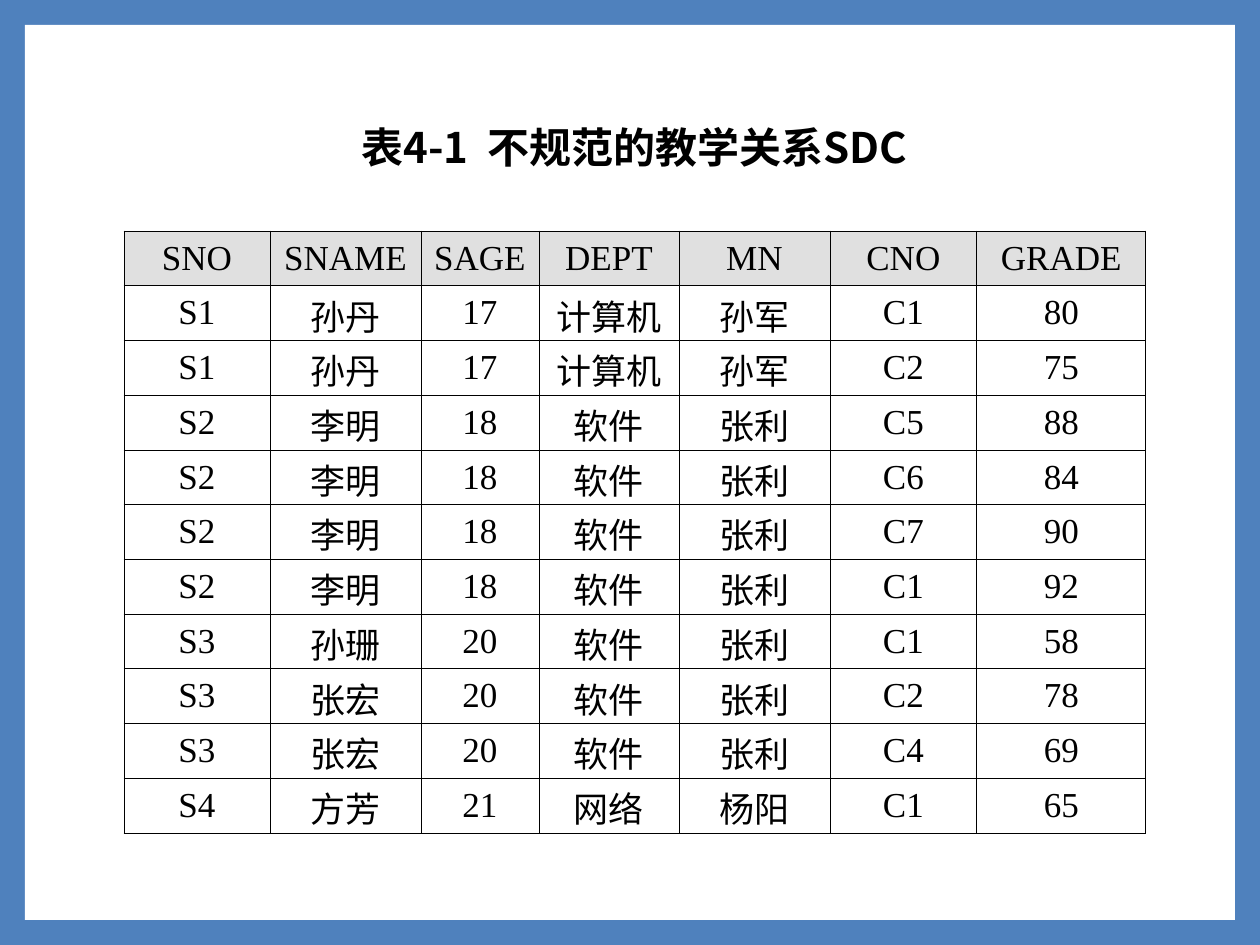
from lxml.etree import SubElement
from pptx import Presentation
from pptx.dml.color import RGBColor
from pptx.enum.shapes import MSO_SHAPE
from pptx.enum.text import MSO_ANCHOR, MSO_AUTO_SIZE, PP_ALIGN
from pptx.oxml.ns import qn
from pptx.util import Emu, Pt

PX_PER_INCH = 126
SANS = "Noto Sans CJK SC"
SERIF = "Times New Roman"
BLACK, WHITE = "000000", "FFFFFF"
BLUE, HEADER_GREY = "4F81BD", "E0E0E0"

COLUMN_WIDTHS = [146, 151, 118, 140, 151, 147, 169]
TABLE_HEIGHT = 602
HEADER = ["SNO", "SNAME", "SAGE", "DEPT", "MN", "CNO", "GRADE"]
RECORDS = [
    ["S1", "孙丹", "17", "计算机", "孙军", "C1", "80"],
    ["S1", "孙丹", "17", "计算机", "孙军", "C2", "75"],
    ["S2", "李明", "18", "软件", "张利", "C5", "88"],
    ["S2", "李明", "18", "软件", "张利", "C6", "84"],
    ["S2", "李明", "18", "软件", "张利", "C7", "90"],
    ["S2", "李明", "18", "软件", "张利", "C1", "92"],
    ["S3", "孙珊", "20", "软件", "张利", "C1", "58"],
    ["S3", "张宏", "20", "软件", "张利", "C2", "78"],
    ["S3", "张宏", "20", "软件", "张利", "C4", "69"],
    ["S4", "方芳", "21", "网络", "杨阳", "C1", "65"],
]


def px(length):
    return Emu(round(length * 914400 / PX_PER_INCH))


def paint(fill, colour):
    fill.solid()
    fill.fore_color.rgb = RGBColor.from_string(colour)


def add_run(paragraph, text, size, latin, bold=False):
    paragraph.alignment = PP_ALIGN.CENTER
    run = paragraph.add_run()
    run.text = text
    run.font.size = Pt(size)
    run.font.bold = bold
    run.font.color.rgb = RGBColor.from_string(BLACK)
    run.font.name = latin
    SubElement(run.font._element, qn("a:ea"), typeface=SANS)


def add_panel(slide):
    """Lay the white sheet behind everything else on the slide."""
    panel = slide.shapes.add_shape(
        MSO_SHAPE.RECTANGLE, px(25), px(25), px(1210), px(895))
    panel.shadow.inherit = False
    paint(panel.fill, WHITE)
    panel.line.fill.background()
    slide.shapes._spTree.insert(2, panel._element)


def fill_title(title, text):
    title.left, title.top, title.width, title.height = map(px, (34, 115, 1201, 63))
    paint(title.fill, WHITE)
    frame = title.text_frame
    frame.word_wrap = True
    frame.auto_size = MSO_AUTO_SIZE.NONE
    frame.vertical_anchor = MSO_ANCHOR.MIDDLE
    add_run(frame.paragraphs[0], text, 24, SANS, bold=True)


def add_borders(cell):
    properties = cell._tc.get_or_add_tcPr()
    for side in ("lnL", "lnR", "lnT", "lnB"):
        line = SubElement(properties, qn(f"a:{side}"), w=str(Pt(0.45)))
        colour = SubElement(line, qn("a:solidFill"))
        SubElement(colour, qn("a:srgbClr"), val=BLACK)


def fill_cell(cell, text, is_header):
    cell.vertical_anchor = MSO_ANCHOR.MIDDLE
    add_borders(cell)
    if is_header:
        paint(cell.fill, HEADER_GREY)
    else:
        cell.fill.background()
    paragraph = cell.text_frame.paragraphs[0]
    add_run(paragraph, text, 20, SERIF)
    if not text.isascii():
        # Chinese lines are tall: a fixed pitch keeps all rows equal.
        paragraph.line_spacing = Pt(22)
        cell.margin_top, cell.margin_bottom = Pt(9), 0


def add_relation_table(slide, rows):
    table = slide.shapes.add_table(
        len(rows), len(HEADER), px(124), px(231),
        px(sum(COLUMN_WIDTHS)), px(TABLE_HEIGHT)).table
    table.first_row = table.horz_banding = False
    for column, width in zip(table.columns, COLUMN_WIDTHS):
        column.width = px(width)
    for row_index, values in enumerate(rows):
        table.rows[row_index].height = px(TABLE_HEIGHT / len(rows))
        for column_index, value in enumerate(values):
            fill_cell(table.cell(row_index, column_index), value, row_index == 0)


def main():
    presentation = Presentation()
    presentation.slide_width, presentation.slide_height = px(1260), px(945)
    slide = presentation.slides.add_slide(presentation.slide_layouts[5])
    paint(slide.background.fill, BLUE)
    add_panel(slide)
    fill_title(slide.shapes.title, "表4-1  不规范的教学关系SDC")
    add_relation_table(slide, [HEADER] + RECORDS)
    presentation.save("out.pptx")


if __name__ == "__main__":
    main()
